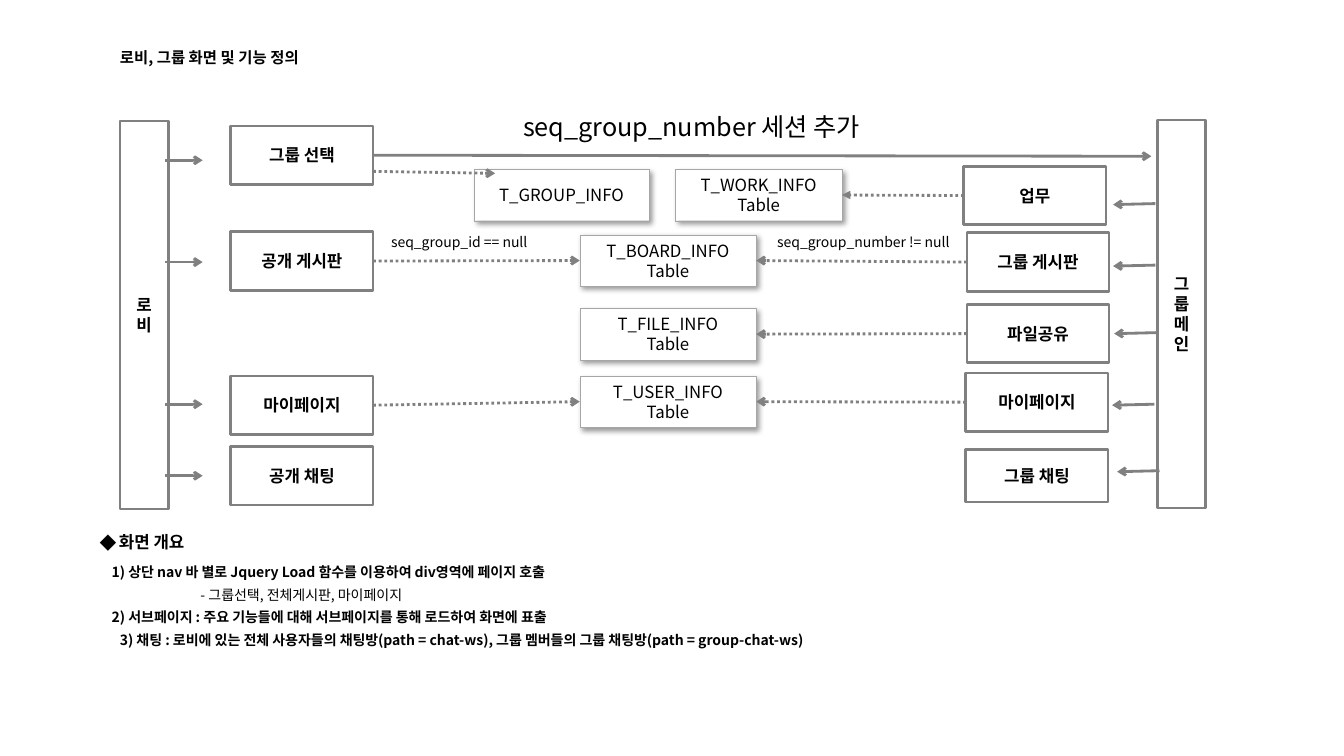
from dataclasses import dataclass

from lxml.etree import SubElement
from pptx import Presentation
from pptx.dml.color import RGBColor
from pptx.enum.dml import MSO_LINE
from pptx.enum.shapes import MSO_CONNECTOR, MSO_SHAPE
from pptx.enum.text import MSO_ANCHOR, MSO_AUTO_SIZE, PP_ALIGN
from pptx.oxml.ns import qn
from pptx.util import Pt

PX = 9144  # EMU, 100 px to the inch
LEFT, RIGHT = 1, 3  # connection sites of a rectangle


@dataclass(frozen=True)
class Theme:
    font: str = "Noto Sans CJK KR"
    text: RGBColor = RGBColor(0x00, 0x00, 0x00)
    outline: RGBColor = RGBColor(0x80, 0x80, 0x80)
    table_fill: RGBColor = RGBColor(0xFF, 0xFF, 0xFF)
    table_outline: RGBColor = RGBColor(0xA6, 0xA6, 0xA6)
    banner_size: int = 18
    box_size: int = 12
    title_size: int = 11
    note_size: int = 10
    line_width: float = 2
    table_line_width: float = 0.25


THEME = Theme()


def write_text(paragraph, text, *, size, bold=False, align=None, spacing=None,
               margin=0, hanging=0, bullet=None):
    paragraph.alignment = align
    paragraph.line_spacing = spacing
    properties = paragraph._p.get_or_add_pPr()
    if margin:
        properties.set("marL", str(margin * PX))
        properties.set("indent", str(-hanging * PX))
    if bullet:
        SubElement(properties, qn("a:buFont"), typeface=THEME.font)
        SubElement(properties, qn("a:buChar"), char=bullet)
    run = paragraph.add_run()
    run.text = text
    run.font.size = Pt(size)
    run.font.bold = bold
    run.font.color.rgb = THEME.text
    run.font.name = THEME.font
    SubElement(run._r.get_or_add_rPr(), qn("a:ea"), typeface=THEME.font)


def add_label(slide, bounds, *lines, wrap=True, anchor=MSO_ANCHOR.TOP, **text_format):
    """Add a text box; each line is a text, or a text with its own format."""
    frame = slide.shapes.add_textbox(*(value * PX for value in bounds)).text_frame
    frame.word_wrap = wrap
    frame.vertical_anchor = anchor
    if anchor == MSO_ANCHOR.TOP:
        frame.auto_size = MSO_AUTO_SIZE.SHAPE_TO_FIT_TEXT
    for index, line in enumerate(lines):
        text, own_format = (line, {}) if isinstance(line, str) else line
        paragraph = frame.add_paragraph() if index else frame.paragraphs[0]
        write_text(paragraph, text, **{**text_format, **own_format})


def add_rectangle(slide, bounds, lines, *, outline, width, bold):
    shape = slide.shapes.add_shape(MSO_SHAPE.RECTANGLE, *(value * PX for value in bounds))
    shape.shadow.inherit = False
    shape.fill.background()
    shape.line.color.rgb = outline
    shape.line.width = Pt(width)
    frame = shape.text_frame
    frame.word_wrap = True
    frame.vertical_anchor = MSO_ANCHOR.MIDDLE
    for index, line in enumerate(lines):
        paragraph = frame.add_paragraph() if index else frame.paragraphs[0]
        write_text(paragraph, line, size=THEME.box_size, bold=bold, align=PP_ALIGN.CENTER)
    return shape


def add_screen(slide, name, left, top, width=141, height=58):
    return add_rectangle(slide, (left, top, width, height), [name],
                         outline=THEME.outline, width=THEME.line_width, bold=True)


def add_database_table(slide, lines, left, top, width=175):
    shape = add_rectangle(slide, (left, top, width, 51), lines,
                          outline=THEME.table_outline, width=THEME.table_line_width, bold=False)
    shape.fill.solid()
    shape.fill.fore_color.rgb = THEME.table_fill
    effects = shape._element.spPr.find(qn("a:effectLst"))
    shadow = SubElement(effects, qn("a:outerShdw"), blurRad=str(Pt(4)), dist=str(Pt(3)),
                        dir=str(45 * 60000), algn="tl", rotWithShape="0")
    color = SubElement(shadow, qn("a:srgbClr"), val=str(THEME.text))
    SubElement(color, qn("a:alpha"), val="40000")
    return shape


def add_arrow(slide, start, end, *, dotted=False, head="arrow"):
    """Join two ends, each either a point or a (shape, connection site) pair."""
    points = [(0, 0) if hasattr(place[0], "shape_id") else place for place in (start, end)]
    connector = slide.shapes.add_connector(
        MSO_CONNECTOR.STRAIGHT, *(value * PX for point in points for value in point))
    for place, connect in ((start, connector.begin_connect), (end, connector.end_connect)):
        if hasattr(place[0], "shape_id"):
            connect(*place)
    connector.line.color.rgb = THEME.outline
    connector.line.width = Pt(THEME.line_width)
    if dotted:
        connector.line.dash_style = MSO_LINE.ROUND_DOT
    properties = connector._element.spPr
    SubElement(properties.find(qn("a:ln")), qn("a:tailEnd"), type=head)
    SubElement(properties, qn("a:effectLst"))


def add_diagram(slide):
    add_screen(slide, "로비", 119, 120, 48, 385)
    add_screen(slide, "그룹메인", 1148, 119, 48, 385)

    group_choice, open_board, my_page, _ = [
        add_screen(slide, name, 229, top)
        for name, top in (("그룹 선택", 125), ("공개 게시판", 230),
                          ("마이페이지", 373), ("공개 채팅", 443))]
    work, group_board, files, group_my_page = [
        add_screen(slide, name, left, top)
        for name, left, top in (("업무", 956, 165), ("그룹 게시판", 959, 231),
                                ("파일공유", 959, 302), ("마이페이지", 958, 370))]
    add_screen(slide, "그룹 채팅", 958, 446, height=52)

    add_database_table(slide, ["T_GROUP_INFO"], 470, 168, 174)
    work_table = add_database_table(slide, ["T_WORK_INFO", "Table"], 670, 168, 165)
    board_table, file_table, user_table = [
        add_database_table(slide, [name, "Table"], 575, top)
        for name, top in (("T_BOARD_INFO", 233), ("T_FILE_INFO", 306), ("T_USER_INFO", 373))]

    add_arrow(slide, (group_choice, RIGHT), (1142, 155))
    add_arrow(slide, (370, 170), (491, 172), dotted=True)
    for screen, table in ((open_board, board_table), (my_page, user_table)):
        add_arrow(slide, (screen, RIGHT), (table, LEFT), dotted=True)
    for screen, table in ((group_board, board_table), (files, file_table),
                          (group_my_page, user_table)):
        add_arrow(slide, (screen, LEFT), (table, RIGHT), dotted=True)
    add_arrow(slide, (work, LEFT), (work_table, RIGHT), dotted=True, head="triangle")

    for top in (159, 260, 401, 472):
        add_arrow(slide, (164, top), (201, top))
    for left, top in ((1146, 202), (1146, 263), (1147, 330), (1145, 401), (1150, 467)):
        add_arrow(slide, (left, top), (left - 42, top + 1))

    add_label(slide, (509, 106, 428, 40), "seq_group_number 세션 추가", size=THEME.banner_size)
    add_label(slide, (378, 227, 175, 27), "seq_group_id == null", size=THEME.note_size)
    add_label(slide, (761, 227, 217, 27), "seq_group_number != null", size=THEME.note_size)


def add_overview(slide):
    add_label(slide, (89, 517, 112, 36), "화면 개요", wrap=False, size=THEME.box_size,
              bold=True, spacing=1.3, margin=19, hanging=19, bullet="◆")
    add_label(
        slide, (89, 549, 987, 100),
        "1) 상단 nav 바 별로 Jquery Load 함수를 이용하여 div영역에 페이지 호출",
        ("- 그룹선택, 전체게시판, 마이페이지", {"bold": False, "margin": 100}),
        "2) 서브페이지 : 주요 기능들에 대해 서브페이지를 통해 로드하여 화면에 표출",
        ("3) 채팅 : 로비에 있는 전체 사용자들의 채팅방(path = chat-ws), "
         "그룹 멤버들의 그룹 채팅방(path = group-chat-ws)", {"margin": 20}),
        size=THEME.note_size, bold=True, spacing=Pt(16), margin=12)


def main():
    presentation = Presentation()
    presentation.slide_width = 1333 * PX
    presentation.slide_height = 750 * PX
    slide = presentation.slides.add_slide(presentation.slide_layouts[6])
    add_label(slide, (109, 41, 689, 32), "로비, 그룹 화면 및 기능 정의",
              anchor=MSO_ANCHOR.MIDDLE, size=THEME.title_size, bold=True)
    add_diagram(slide)
    add_overview(slide)
    presentation.save("out.pptx")


if __name__ == "__main__":
    main()
